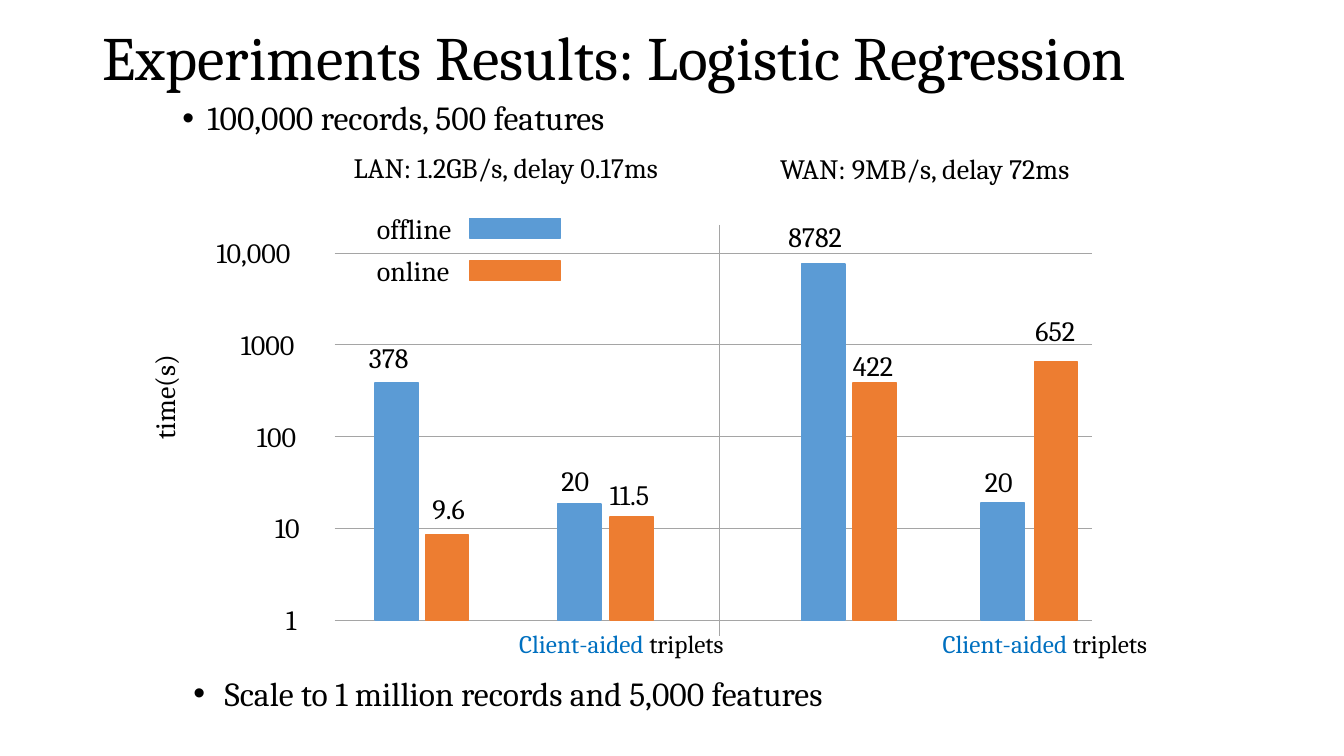
"""Build the logistic regression results slide."""
from lxml import etree
from pptx import Presentation
from pptx.dml.color import RGBColor
from pptx.enum.shapes import MSO_CONNECTOR, MSO_SHAPE
from pptx.enum.text import MSO_ANCHOR, MSO_AUTO_SIZE
from pptx.oxml.ns import qn
from pptx.util import Inches, Pt

RECT, STRAIGHT = MSO_SHAPE.RECTANGLE, MSO_CONNECTOR.STRAIGHT
MIDDLE, TOP, GROW = MSO_ANCHOR.MIDDLE, MSO_ANCHOR.TOP, MSO_AUTO_SIZE.SHAPE_TO_FIT_TEXT
THEME = {"font": "Cambria", "text": "000000", "accent": "0070C0", "grid": "A5A5A5",
         "offline": "5B9BD5", "online": "ED7D31",
         "title": 44, "body": 24, "label": 20, "category": 18}

TITLE = "Experiments Results: Logistic Regression"
DATASET = "100,000 records, 500 features"
SCALE = "Scale to 1 million records and 5,000 features"
NETWORKS = [("LAN: 1.2GB/s, delay 0.17ms", 3.41, 1.44, 3.67),
            ("WAN: 9MB/s, delay 72ms", 7.64, 1.45, 3.42)]
TICKS = [("1", 2.74), ("10", 2.63), ("100", 2.45), ("1000", 2.29), ("10,000", 2.05)]
# series, value, bar left, bar top, label left, label top
BARS = [("offline", "378", 3.72, 3.8, 3.56, 3.33),
        ("online", "9.6", 4.22, 5.31, 4.19, 4.83),
        ("offline", "20", 5.53, 5, 5.47, 4.55),
        ("online", "11.5", 6.05, 5.13, 5.95, 4.69),
        ("offline", "8782", 7.95, 2.62, 7.72, 2.13),
        ("online", "422", 8.46, 3.8, 8.36, 3.41),
        ("offline", "20", 9.73, 4.99, 9.67, 4.56),
        ("online", "652", 10.26, 3.59, 10.17, 3.06)]
CATEGORY = [("Client-aided", "accent"), (" triplets", "text")]
CATEGORY_LEFTS = [5.05, 9.25]
LEGEND = ["offline", "online"]

BASE, DECADE, BAR_W = 6.15, 0.91, 0.43
GRID_LEFT, GRID_RIGHT, DIVIDER = 3.32, 10.83, 7.13
LABEL_H, LABEL_W = 0.44, 0.89


def rgb(name):
    return RGBColor.from_string(THEME[name])


def add_text(s, runs, box, size="label", wrap=True, grow=True, anchor=TOP,
             rotation=0, bullet=0, **para):
    tb = s.shapes.add_textbox(*map(Inches, box))
    tb.rotation = rotation
    tf = tb.text_frame
    frame = {"word_wrap": wrap, "vertical_anchor": anchor}
    if grow:
        frame["auto_size"] = GROW
    for key, value in frame.items():
        setattr(tf, key, value)
    p = tf.paragraphs[0]
    for key, value in para.items():
        setattr(p, key, value)
    if bullet:
        pPr = p._p.get_or_add_pPr()
        pPr.set("marL", str(Inches(bullet)))
        pPr.set("indent", str(-Inches(bullet)))
        etree.SubElement(pPr, qn("a:buFont")).set("typeface", "Arial")
        etree.SubElement(pPr, qn("a:buChar")).set("char", "•")
    for text, color in [(runs, "text")] if isinstance(runs, str) else runs:
        r = p.add_run()
        r.text = text
        for key, value in {"name": THEME["font"], "size": Pt(THEME[size])}.items():
            setattr(r.font, key, value)
        r.font.color.rgb = rgb(color)


def add_bar(s, series, box):
    sp = s.shapes.add_shape(RECT, *map(Inches, box))
    sp.shadow.inherit = False
    sp.fill.solid()
    sp.fill.fore_color.rgb = rgb(series)
    sp.line.color.rgb = rgb(series)
    sp.line.width = Pt(1)


def add_rule(s, *ends):
    cx = s.shapes.add_connector(STRAIGHT, *map(Inches, ends))
    cx.line.color.rgb = rgb("grid")
    cx.line.width = Pt(0.5)
    etree.SubElement(cx._element.spPr, qn("a:effectLst"))


def main():
    prs = Presentation()
    prs.slide_width, prs.slide_height = Inches(13.33), Inches(7.5)
    s = prs.slides.add_slide(prs.slide_layouts[6])

    add_text(s, TITLE, (0.92, 0, 11.5, 1.21), "title", grow=False,
             anchor=MIDDLE, line_spacing=0.9)
    add_text(s, DATASET, (1.71, 0.96, 11.5, 0.69), "body", grow=False,
             bullet=0.25, line_spacing=0.9, space_before=Pt(10))

    for power, (tick, left) in enumerate(TICKS):
        y = BASE - power * DECADE
        add_rule(s, GRID_LEFT, y, GRID_RIGHT, y)
        add_text(s, tick, (left, y - LABEL_H / 2, 1.2, LABEL_H))
    for series, value, left, top, label_left, label_top in BARS:
        add_bar(s, series, (left, top, BAR_W, BASE - top))
        add_text(s, value, (label_left, label_top, LABEL_W, LABEL_H))
    add_rule(s, DIVIDER, 2.23, DIVIDER, 6.31)

    add_text(s, "time(s)", (1.04, 3.65, 1.18, LABEL_H), rotation=270)
    for network, left, top, width in NETWORKS:
        add_text(s, network, (left, top, width, LABEL_H), wrap=False)
    for row, series in enumerate(LEGEND):
        y = 2.05 + row * 0.42
        add_text(s, series, (3.64, y, 1.14, LABEL_H))
        add_bar(s, series, (4.66, y + 0.12, 0.9, 0.19))
    for left in CATEGORY_LEFTS:
        add_text(s, CATEGORY, (left, 6.18, 2.44, 0.4), "category", wrap=False)
    add_text(s, SCALE, (1.82, 6.63, 8.89, 0.5), "body", bullet=0.31)

    prs.save("out.pptx")


if __name__ == "__main__":
    main()
